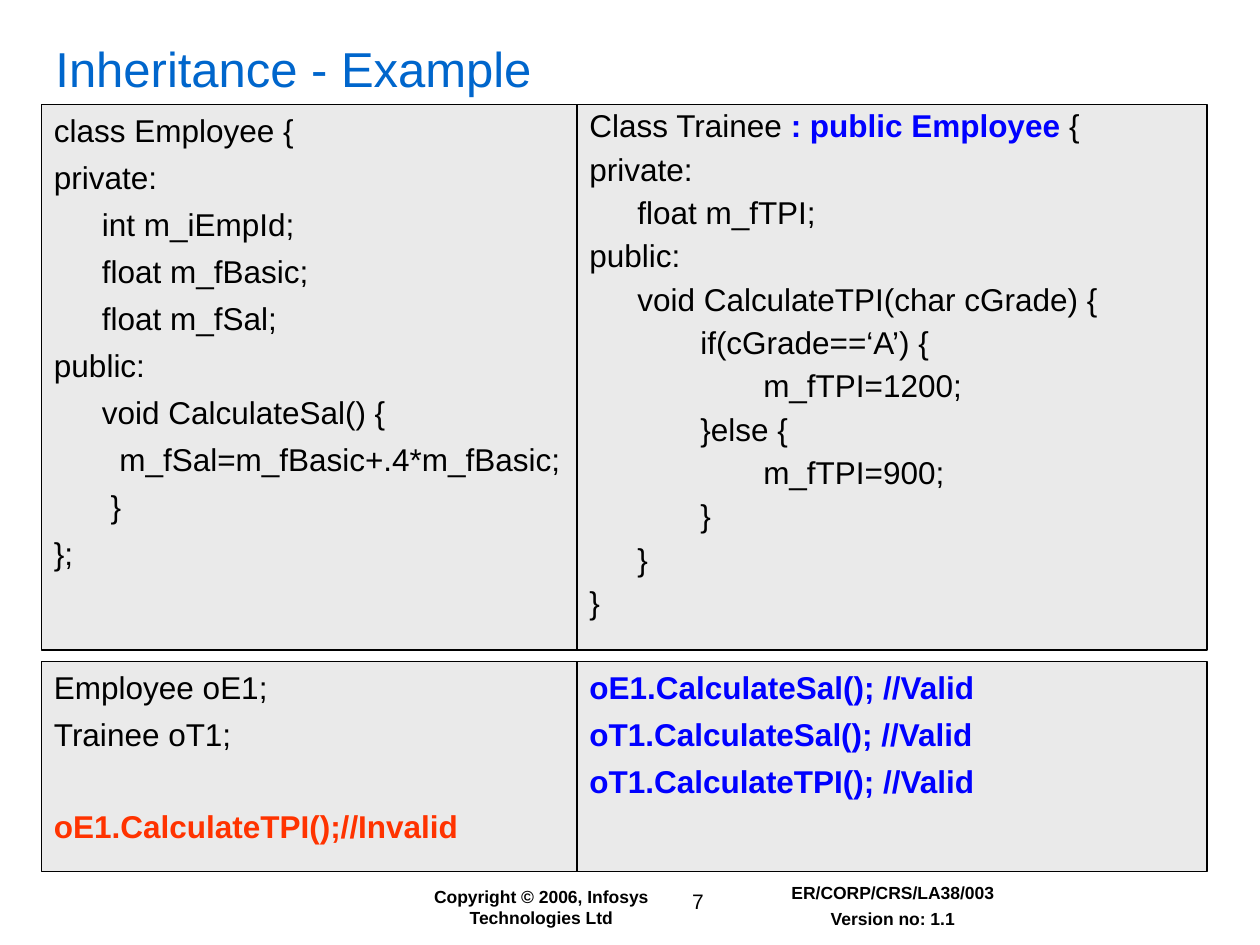
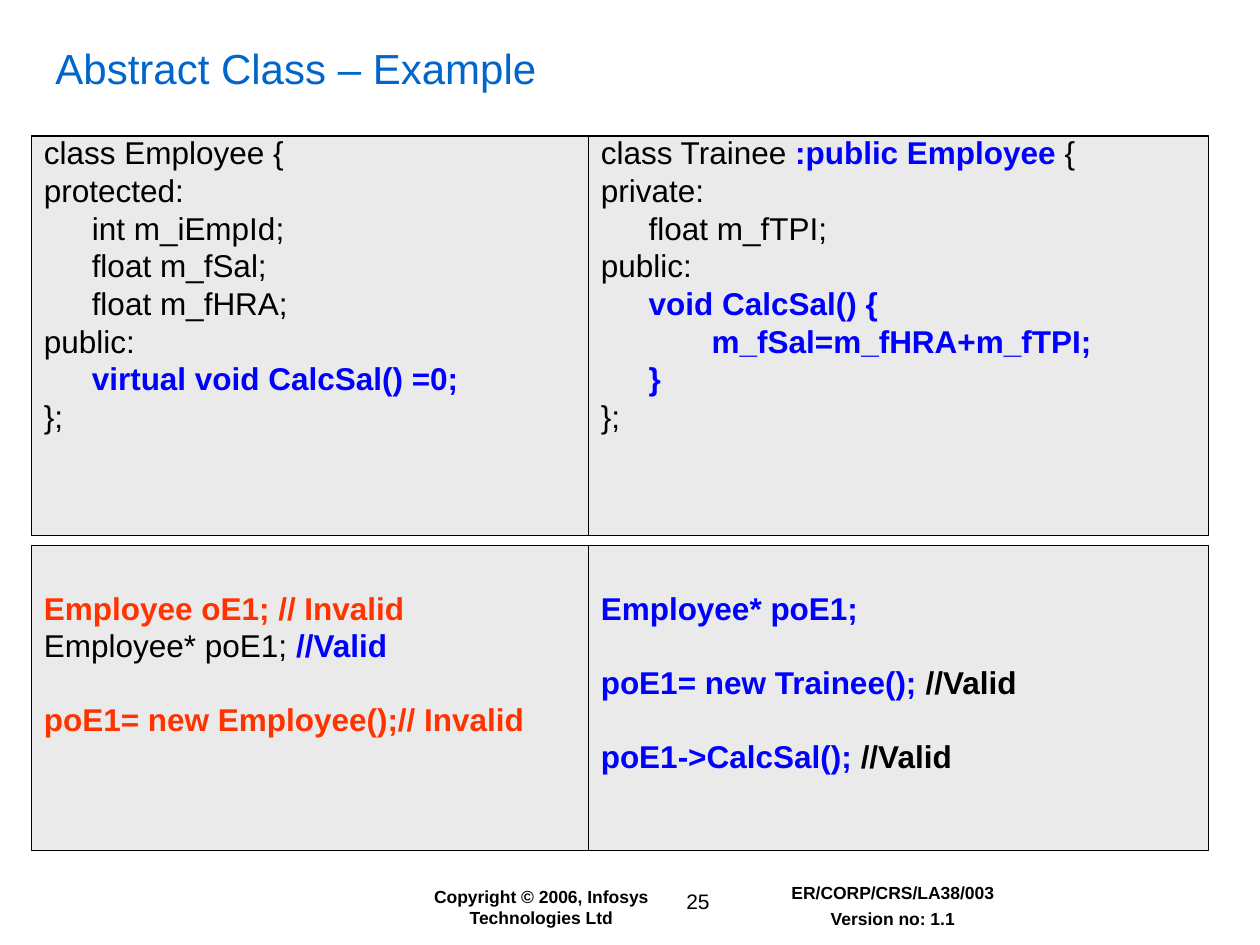
from dataclasses import dataclass

from lxml import etree
from pptx import Presentation
from pptx import util as u
from pptx.dml.color import RGBColor
from pptx.enum import shapes, text
from pptx.oxml.ns import qn


@dataclass(frozen=True)
class Theme:
    face: str = "Arial"
    title: str = "0066CC"
    ink: str = "000000"
    blue: str = "0000FF"
    red: str = "FF3300"
    panel: str = "EAEAEA"
    code: int = 18
    page: int = 12
    foot: int = 10
    edge: float = 0.75
    line: float = 20.7
    space: float = 5.3


T = Theme()
PLAIN = {"color": T.ink, "bold": False}
STRONG = {"color": T.ink, "bold": True}
KEY = {"color": T.blue, "bold": True}
BAD = {"color": T.red, "bold": True}
LEFT, CENTER = text.PP_ALIGN.LEFT, text.PP_ALIGN.CENTER


def put(obj, values):
    for name, value in values.items():
        setattr(obj, name, value)


def add_run(para, words, size, color=T.ink, bold=False):
    run = para.add_run()
    run.text = words
    put(run.font, {"name": T.face, "size": u.Pt(size), "bold": bold})
    run.font.color.rgb = RGBColor.from_string(color)


def set_tabs(para):
    """Give a code line its hanging indent and one tab stop an inch."""
    props = para._p.get_or_add_pPr()
    props.set("marL", str(u.Inches(0.38)))
    props.set("indent", str(u.Inches(-0.38)))
    stops = etree.SubElement(props, qn("a:tabLst"))
    for inch in range(8):
        etree.SubElement(stops, qn("a:tab"), pos=str(u.Inches(inch)), algn="l")


def add_title(slide, words, size):
    title = slide.shapes.title
    put(title, {"left": u.Inches(0.34), "top": u.Inches(0.26),
                "width": u.Inches(9.38), "height": u.Inches(0.56)})
    frame = title.text_frame
    put(frame, {"auto_size": text.MSO_AUTO_SIZE.NONE, "word_wrap": True,
                "vertical_anchor": text.MSO_ANCHOR.MIDDLE})
    para = frame.paragraphs[0]
    para.alignment = LEFT
    add_run(para, words, size, T.title)


def add_note(slide, box, lines, size, bold=True, wrap=True):
    frame = slide.shapes.add_textbox(*map(u.Inches, box)).text_frame
    frame.word_wrap = wrap
    for i, words in enumerate(lines):
        para = frame.add_paragraph() if i else frame.paragraphs[0]
        para.alignment = CENTER
        if i:
            para.space_before = u.Pt(2.8)
        add_run(para, words, size, bold=bold)


def add_footer(slide, page):
    add_note(slide, (3.17, 6.98, 2.25, 0.44),
             ["Copyright © 2006, Infosys Technologies Ltd"], T.foot)
    add_note(slide, (5.06, 7, 0.96, 0.3), [str(page)], T.page,
             bold=False, wrap=False)
    add_note(slide, (5.75, 6.95, 2.67, 0.47),
             ["ER/CORP/CRS/LA38/003", "Version no: 1.1"], T.foot)


def add_code(slide, box, lines, pitch=1.0):
    """Draw a code panel; a line is a string or (words, style) pairs.

    None leaves one line of room above the next line.
    """
    panel = slide.shapes.add_shape(shapes.MSO_SHAPE.RECTANGLE,
                                   *map(u.Inches, box))
    panel.shadow.inherit = False
    panel.fill.solid()
    panel.fill.fore_color.rgb = RGBColor.from_string(T.panel)
    panel.line.color.rgb = RGBColor.from_string(T.ink)
    panel.line.width = u.Pt(T.edge)
    frame = panel.text_frame
    put(frame, {"word_wrap": True, "vertical_anchor": text.MSO_ANCHOR.TOP})
    if lines[0] is None:
        frame.margin_top += u.Pt(T.line + T.space)
        lines = lines[1:]
    gap = 0
    for i, line in enumerate(lines):
        if line is None:
            gap += T.line * pitch + T.space
            continue
        para = frame.add_paragraph() if i else frame.paragraphs[0]
        set_tabs(para)
        put(para, {"alignment": LEFT, "line_spacing": pitch})
        if i:
            para.space_before = u.Pt(round(T.space + gap, 1))
        gap = 0
        for words, style in [(line, PLAIN)] if isinstance(line, str) else line:
            add_run(para, words, T.code, **style)


def add_grid(slide, left, widths, rows):
    """Place rows of panels; a row is (top, height, [(lines, pitch), ...])."""
    for top, height, cells in rows:
        x = left
        for width, (lines, pitch) in zip(widths, cells):
            add_code(slide, (x, top, width, height), lines, pitch)
            x += width


def add_page(deck, title, size, page):
    slide = deck.slides.add_slide(deck.slide_layouts[5])
    add_title(slide, title, size)
    add_footer(slide, page)
    return slide


def show_derived(deck):
    slide = add_page(deck, "Inheritance - Example", 28, 7)
    base = [
        "class Employee {",
        "private:",
        "\tint m_iEmpId;",
        "\tfloat m_fBasic;",
        "\tfloat m_fSal;",
        "public:",
        "\tvoid CalculateSal() {",
        "\t  m_fSal=m_fBasic+.4*m_fBasic;",
        "\t }",
        "};",
    ]
    child = [
        [("Class Trainee ", PLAIN), (": public Employee ", KEY), ("{", PLAIN)],
        "private:",
        "\tfloat m_fTPI;",
        "public:",
        "\tvoid CalculateTPI(char cGrade) {",
        "\t\tif(cGrade==‘A’) {",
        "\t\t\tm_fTPI=1200;",
        "\t\t}else {",
        "\t\t\tm_fTPI=900;",
        "\t\t}",
        "\t}",
        "}",
    ]
    setup = ["Employee oE1;", "Trainee oT1;", None,
             [("oE1.CalculateTPI();//Invalid", BAD)]]
    calls = [[(f"{call}(); //Valid", KEY)] for call in
             ("oE1.CalculateSal", "oT1.CalculateSal", "oT1.CalculateTPI")]
    add_grid(slide, 0.33, (4.25, 5), [
        (0.83, 4.33, [(base, 1.0), (child, 0.9)]),
        (5.25, 1.67, [(setup, 1.0), (calls, 1.0)]),
    ])


def show_abstract(deck):
    slide = add_page(deck, "Abstract Class – Example", 24, 25)
    base = [
        "class Employee {",
        "protected:",
        "\tint m_iEmpId;",
        "\tfloat m_fSal;",
        "\tfloat m_fHRA;",
        "public:",
        [("\tvirtual void CalcSal() =0;", KEY)],
        "};",
    ]
    child = [
        [("class Trainee ", PLAIN), (":public Employee", KEY), (" {", PLAIN)],
        "private:",
        "\tfloat m_fTPI;",
        "public:",
        [("\tvoid CalcSal() {", KEY)],
        [("\t\tm_fSal=m_fHRA+m_fTPI;", KEY)],
        [("\t}", KEY)],
        "};",
    ]
    setup = [
        None,
        [("Employee oE1; // Invalid", BAD)],
        [("Employee* poE1; ", PLAIN), ("//Valid", KEY)],
        None,
        [("poE1= new Employee();// Invalid", BAD)],
    ]
    calls = [
        None,
        [("Employee* poE1;", KEY)],
        None,
        [("poE1= new Trainee(); ", KEY), ("//Valid", STRONG)],
        None,
        [("poE1->CalcSal(); ", KEY), ("//Valid", STRONG)],
    ]
    add_grid(slide, 0.25, (4.42, 4.92), [
        (1.08, 3.17, [(base, 0.75), (child, 0.75)]),
        (4.33, 2.42, [(setup, 0.75), (calls, 0.75)]),
    ])


def main():
    deck = Presentation()
    put(deck, {"slide_width": u.Inches(10), "slide_height": u.Inches(7.5)})
    show_derived(deck)
    show_abstract(deck)
    deck.save("out.pptx")


if __name__ == "__main__":
    main()
